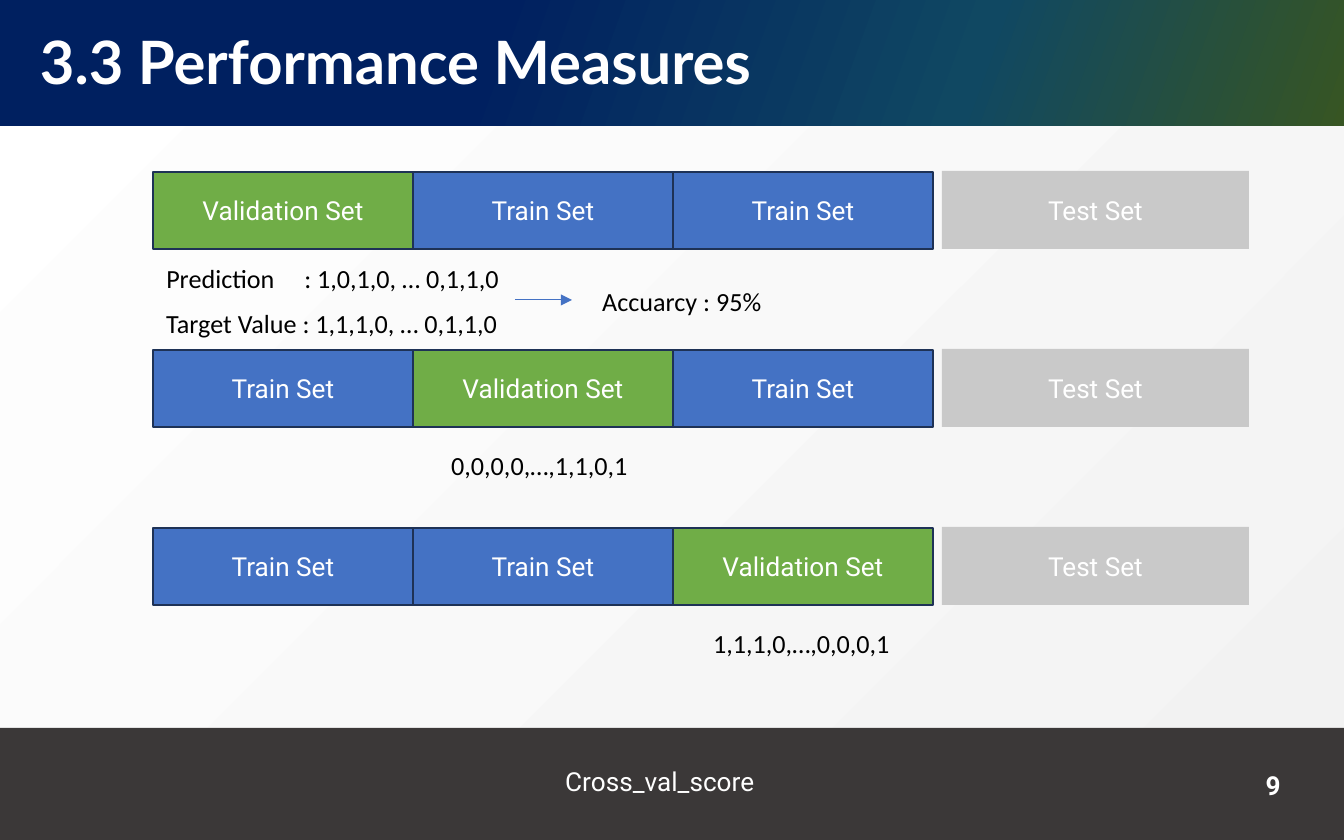
from lxml import etree
from pptx import Presentation, util as u
from pptx.dml.color import RGBColor
from pptx.enum import shapes, text
from pptx.oxml.ns import qn

PX = 9144000 / 1344
WHITE = RGBColor(0xFF, 0xFF, 0xFF)
BLACK = RGBColor(0x00, 0x00, 0x00)
CHARCOAL = RGBColor(0x3B, 0x38, 0x38)
GREY = RGBColor(0xC9, 0xC9, 0xC9)
GREEN = RGBColor(0x70, 0xAD, 0x47)
BLUE = RGBColor(0x44, 0x72, 0xC4)
OUTLINE = RGBColor(0x1E, 0x32, 0x56)
PAPER_STOPS = [(0, "FFFFFF"), (100, "F2F2F2")]
HEADER_STOPS = [(0, "375523"), (28, "104862"), (64, "002060"), (100, "002060")]
ROBOTO = {"name": "Roboto", "size": u.Pt(14)}
CALIBRI = {"name": "Calibri", "size": u.Pt(14)}
LEFT, CENTER, RIGHT = text.PP_ALIGN.LEFT, text.PP_ALIGN.CENTER, text.PP_ALIGN.RIGHT

deck = Presentation()
deck.slide_width, deck.slide_height = (round(n * PX) for n in (1344, 840))
page = deck.slides.add_slide(deck.slide_layouts[6])


def paint_gradient(fill, owner, stops, clockwise):
    fill.gradient()
    fill.gradient_angle = 360 - clockwise
    stop_list = owner.find(".//" + qn("a:gsLst"))
    for stop in list(stop_list):
        stop_list.remove(stop)
    for place, colour in stops:
        stop = etree.SubElement(stop_list, qn("a:gs"), pos=str(place * 1000))
        etree.SubElement(stop, qn("a:srgbClr"), val=colour)


def add_box(area, words="", style=ROBOTO, colour=WHITE, align=LEFT,
            fill=None, line=None, tab=None):
    place = [round(n * PX) for n in area]
    if fill is None:
        box = page.shapes.add_textbox(*place)
    else:
        box = page.shapes.add_shape(shapes.MSO_SHAPE.RECTANGLE, *place)
        box.shadow.inherit = False
        box.fill.solid()
        box.fill.fore_color.rgb = fill
        if line is None:
            box.line.fill.background()
        else:
            box.line.color.rgb = line
            box.line.width = u.Pt(1)
    frame = box.text_frame
    frame.word_wrap = fill is not None
    frame.vertical_anchor = text.MSO_ANCHOR.MIDDLE
    if words:
        para = frame.paragraphs[0]
        para.alignment = align
        if tab:
            tabs = etree.SubElement(para._p.get_or_add_pPr(), qn("a:tabLst"))
            etree.SubElement(tabs, qn("a:tab"), pos=str(round(tab * PX)), algn="l")
        span = para.add_run()
        span.text = words
        for key, value in style.items():
            setattr(span.font, key, value)
        span.font.color.rgb = colour
    return box


# Background, header and footer
paint_gradient(page.background.fill, page.element, PAPER_STOPS, 45)
header = add_box((0, 0, 1344, 126), fill=WHITE)
paint_gradient(header.fill, header.element, HEADER_STOPS, 200)
add_box((0, 728, 1344, 112), fill=CHARCOAL)
add_box((1196, 763, 98, 44), "9", {**ROBOTO, "bold": True}, align=RIGHT)
add_box((552, 758, 239, 46), "Cross_val_score")

# Title
title = add_box((0, 0, 1344, 130), "3.3 Performance Measures",
                {"name": "Lato", "size": u.Pt(32), "bold": True})
title.text_frame.word_wrap = True
title.text_frame.margin_left = round(40 * PX)
title.text_frame.paragraphs[0].line_spacing = 0.9

# Three folds: the validation set moves one place to the right each time
for fold in range(3):
    top = 172 + 178 * fold
    add_box((942, top - 1, 307, 78), "Test Set", align=CENTER, fill=GREY)
    for part in range(3):
        words, fill = ("Validation Set", GREEN) if part == fold else ("Train Set", BLUE)
        add_box((153 + 260 * part, top, 260, 77), words, align=CENTER,
                fill=fill, line=OUTLINE)

# Values of each fold
for area, words, tab in [
    ((153, 255, 370, 46), "Prediction\t: 1,0,1,0, … 0,1,1,0", 138),
    ((153, 300, 361, 46), "Target Value : 1,1,1,0, … 0,1,1,0", None),
    ((589, 278, 188, 46), "Accuarcy : 95%", None),
    ((438, 442, 205, 46), "0,0,0,0,…,1,1,0,1", None),
    ((700, 620, 205, 46), "1,1,1,0,…,0,0,0,1", None),
]:
    add_box(area, words, CALIBRI, BLACK, tab=tab)

# Arrow from the values to the accuracy
ends = [round(n * PX) for n in (515, 300, 572, 300)]
arrow = page.shapes.add_connector(shapes.MSO_CONNECTOR.STRAIGHT, *ends)
arrow.line.color.rgb = BLUE
arrow.line.width = u.Pt(0.5)
etree.SubElement(arrow.line._get_or_add_ln(), qn("a:tailEnd"), type="triangle")
etree.SubElement(arrow.element.spPr, qn("a:effectLst"))

deck.save("out.pptx")
